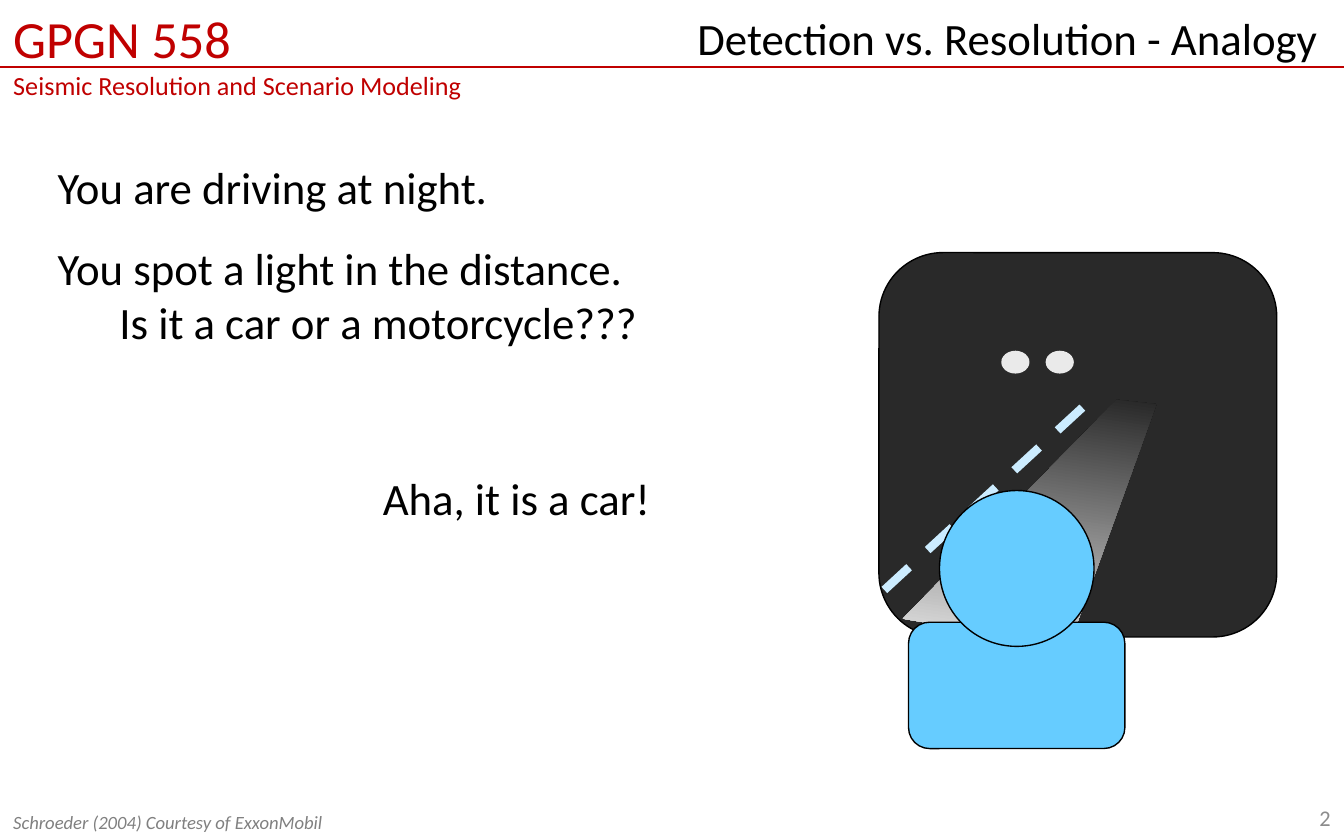
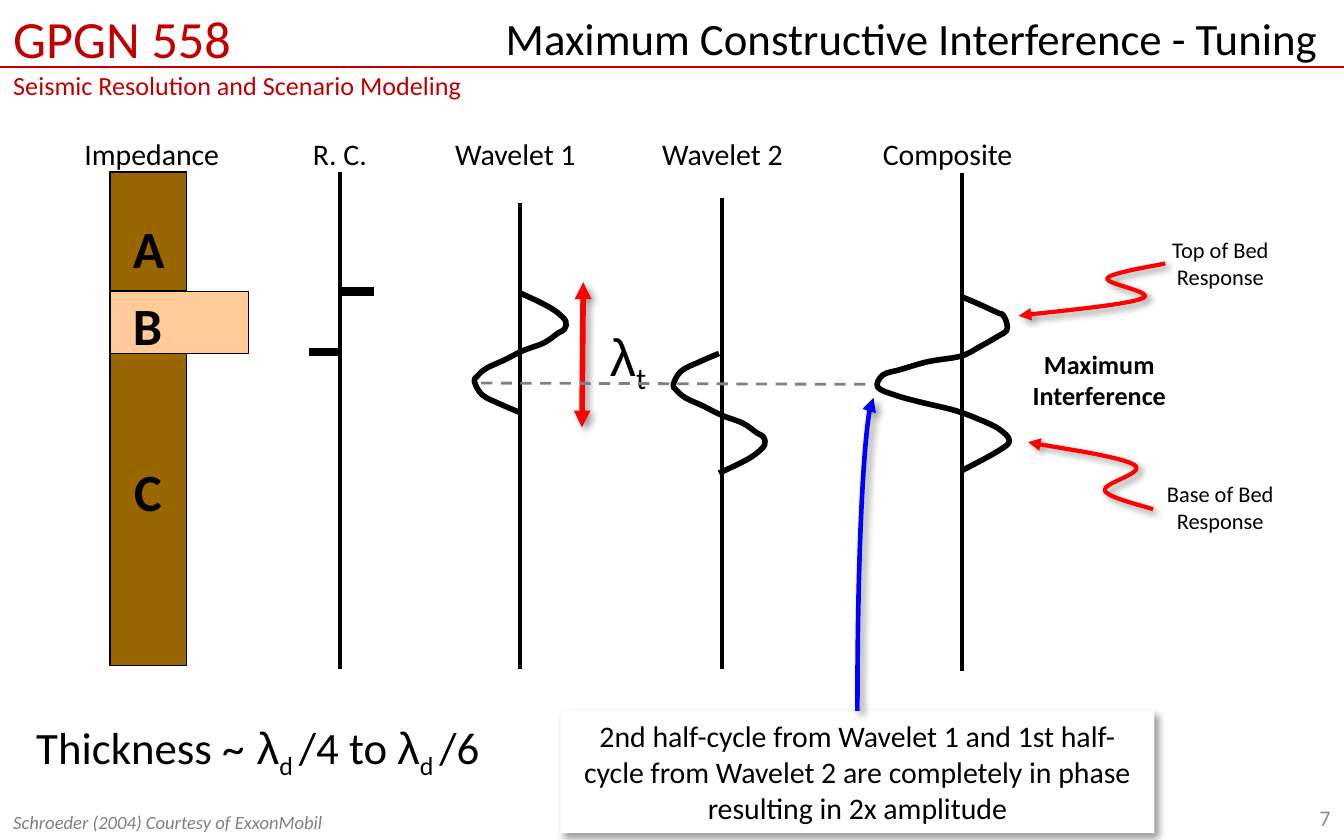
from lxml.etree import SubElement
from pptx import Presentation
from pptx.dml.color import RGBColor
from pptx.enum.dml import MSO_LINE
from pptx.enum.shapes import MSO_CONNECTOR, MSO_SHAPE
from pptx.enum.text import MSO_ANCHOR, MSO_AUTO_SIZE, PP_ALIGN
from pptx.oxml.ns import qn
from pptx.util import Emu, Pt

PX = 9144
WIDTH, HEIGHT = 1000, 625
COLORS = {
    "black": "000000", "white": "FFFFFF", "crimson": "C00000",
    "page": "8C8C8C", "gray": "808080", "night": "292929",
    "beam_far": "151515", "light": "EAEAEA", "driver": "66CCFF",
    "lane": "CCECFF", "rock": "996600", "bed": "FFCC99",
    "red": "FF0000", "blue": "0000FF",
}
LEFT, CENTER, RIGHT = PP_ALIGN.LEFT, PP_ALIGN.CENTER, PP_ALIGN.RIGHT
RECT, ROUNDED, OVAL = MSO_SHAPE.RECTANGLE, MSO_SHAPE.ROUNDED_RECTANGLE, MSO_SHAPE.OVAL
TEXT_INSETS = (10, 5, 10, 5)
HEADER_INSETS = (10, 5, 20, 5)
NO_INSETS = (0, 0, 0, 0)
TO_START, TO_END = "headEnd", "tailEnd"

COURSE = "GPGN 558"
TOPIC = "Seismic Resolution and Scenario Modeling"
CREDIT = "Schroeder (2004) Courtesy of ExxonMobil"

WINDSCREEN = (654, 188, 296, 286)
DRIVER_BODY = (676, 463, 161, 94)
DRIVER_HEAD = (699, 365, 115, 116)
LANE_MARKS = [(658, 439), (810, 299)]
BEAM, BEAM_TILT = [(684, 473), (818, 289), (848, 288), (809, 476)], 8.2
HEADLIGHT_LEFTS, HEADLIGHT_TOP, HEADLIGHT_SIZE = (745, 778), 261, (21, 17)
STORY = [
    ((33, 114, 434, 51), True, ["You are driving at night."]),
    ((33, 174, 461, 91), False,
     ["You spot a light in the distance.", "Is it a car or a motorcycle???"]),
    ((275, 345, 226, 51), False, ["Aha, it is a car!"]),
]
STORY_INDENT = 46

LAYER_LEFT = 82
LAYERS = [
    ("A", "rock", 128, 57, 88, (89, 156, 44, 57)),
    ("C", "rock", 263, 57, 232, (90, 337, 41, 57)),
    ("B", "bed", 217, 103, 46, (89, 213, 42, 57)),
]
COLUMN_NAME_TOP, COLUMN_NAME_HEIGHT = 96, 37
COLUMNS = [
    ("Impedance", 53, 122, LEFT),
    ("R. C.", 223, 61, LEFT),
    ("Wavelet 1", 317, 133, CENTER),
    ("Wavelet 2", 482, 111, CENTER),
    ("Composite", 647, 118, LEFT),
]
AXES = [(253, 128, 498), (387, 151, 498), (537, 147, 498), (716, 129, 499)]
REFLECTIONS = [(254, 278, 217), (230, 254, 262)]
WAVELET_2 = [
    (535, 263), (521, 269), (507, 276), (501, 286), (503, 290), (510, 296),
    (523, 302), (537, 309), (553, 315), (563, 322), (568, 325), (569, 331),
    (562, 338), (552, 344), (535, 352),
]
WAVELET_SHIFT, WAVELET_MIRROR = 148, 570
WAVELET_1 = [(x - WAVELET_SHIFT, WAVELET_MIRROR - y) for x, y in WAVELET_2]
COMPOSITE = [
    (716, 221), (730, 227), (743, 233), (746, 234), (749, 240), (749, 246),
    (743, 250), (729, 258), (715, 265), (691, 269), (670, 275), (657, 279),
    (653, 288), (666, 294), (684, 299), (709, 305), (726, 311), (743, 319),
    (751, 328), (742, 336), (716, 350),
]
RESPONSES = [
    ("Top of Bed", (872, 176, 72, 40), [(758, 235), (850, 222), (824, 207), (867, 196)]),
    ("Base of Bed", (868, 357, 80, 40), [(765, 329), (844, 346), (822, 365), (858, 379)]),
]
BODY, GREEK, SUBSCRIPT = ("Calibri", 0), ("Arial", 0), ("Calibri", -25)
THICKNESS = [
    ("Thickness ~", BODY), (" λ", GREEK), ("d ", SUBSCRIPT),
    ("/4 to ", BODY), ("λ", GREEK), ("d ", SUBSCRIPT), ("/6", BODY),
]
PERIOD = [("λ", GREEK), ("t", SUBSCRIPT)]
PERIOD_ARROW = [(434, 210), (433, 318)]
TROUGH_LINE = [(358, 285), (650, 286)]
NOTE_ARROW = [(650, 296), (638, 529)]
NOTE = [
    "2nd half-cycle from Wavelet 1 and 1st half-cycle from Wavelet 2 are completely in phase",
    "resulting in 2x amplitude",
]


def emu(*values):
    return [Emu(round(v * PX)) for v in values]


def rgb(name):
    return RGBColor.from_string(COLORS[name])


def paint(sp, color):
    sp.fill.solid()
    sp.fill.fore_color.rgb = rgb(color)


def add_shadow(effects):
    shadow = SubElement(effects, qn("a:outerShdw"), blurRad=str(Pt(4)), dist=str(Pt(3)),
                        dir="2700000", algn="tl", rotWithShape="0")
    color = SubElement(shadow, qn("a:srgbClr"), val=COLORS["black"])
    SubElement(color, qn("a:alpha"), val="40000")


def set_effects(sp, shadow=False):
    sp.shadow.inherit = False
    if shadow:
        add_shadow(sp._element.spPr.find(qn("a:effectLst")))


def set_line(line, color, width, dash=False, arrows=()):
    line.color.rgb = rgb(color)
    line.width = Pt(width)
    if dash:
        line.dash_style = MSO_LINE.DASH
    for end in arrows:
        SubElement(line._get_or_add_ln(), qn("a:" + end), type="triangle")


def add_run(p, text, style, size, color, bold, italic):
    font, baseline = style
    r = p.add_run()
    r.text = text
    r.font.name, r.font.size = font, Pt(size)
    r.font.bold, r.font.italic = bold, italic
    r.font.color.rgb = rgb(color)
    if baseline:
        r._r.get_or_add_rPr().set("baseline", str(baseline * 1000))


def add_text(s, box, paragraphs, sizes, color="black", align=LEFT, bold=False, italic=False,
             wrap=True, grow=True, middle=False, insets=TEXT_INSETS, indent=0):
    sp = s.shapes.add_textbox(*emu(*box))
    tf = sp.text_frame
    tf.word_wrap = wrap
    tf.auto_size = MSO_AUTO_SIZE.SHAPE_TO_FIT_TEXT if grow else MSO_AUTO_SIZE.NONE
    tf.vertical_anchor = MSO_ANCHOR.MIDDLE if middle else MSO_ANCHOR.TOP
    tf.margin_left, tf.margin_top, tf.margin_right, tf.margin_bottom = emu(*insets)
    if isinstance(sizes, int):
        sizes = [sizes] * len(paragraphs)
    for i, (content, size) in enumerate(zip(paragraphs, sizes)):
        p = tf.add_paragraph() if i else tf.paragraphs[0]
        p.alignment = align
        if i and indent:
            p._p.get_or_add_pPr().set("marL", str(indent * PX))
        runs = [(content, BODY)] if isinstance(content, str) else content
        for text, style in runs:
            add_run(p, text, style, size, color, bold, italic)
    return sp


def add_box(s, kind, box, fill, outline=True):
    sp = s.shapes.add_shape(kind, *emu(*box))
    paint(sp, fill)
    if outline:
        set_line(sp.line, "black", 0.75)
    else:
        sp.line.fill.background()
    set_effects(sp)


def add_line(s, start, end, color, width, dash=False, arrows=(), shadow=False, curved=False):
    kind = MSO_CONNECTOR.CURVE if curved else MSO_CONNECTOR.STRAIGHT
    cx = s.shapes.add_connector(kind, *emu(*start, *end))
    spPr = cx._element.spPr
    if curved:
        spPr.find(qn("a:prstGeom")).set("prst", "curvedConnector2")
    set_line(cx.line, color, width, dash, arrows)
    effects = SubElement(spPr, qn("a:effectLst"))
    if shadow:
        add_shadow(effects)


def add_outline(s, points, close):
    knots = [emu(*point) for point in points]
    builder = s.shapes.build_freeform(*knots[0], scale=1.0)
    builder.add_line_segments(knots[1:], close=close)
    return builder.convert_to_shape()


def control_points(before, start, end, after):
    leaving = [b + (c - a) / 6 for a, b, c in zip(before, start, end)]
    arriving = [c - (d - b) / 6 for b, c, d in zip(start, end, after)]
    return leaving, arriving


def add_curve(s, points, color, width, arrows=(), shadow=False):
    sp = add_outline(s, points, close=False)
    knots = [(x * PX - sp.left, y * PX - sp.top) for x, y in points]
    padded = [knots[0], *knots, knots[-1]]
    for i, segment in enumerate(list(sp._element.iter(qn("a:lnTo")))):
        neighbours = padded[i:i + 4]
        parent = segment.getparent()
        bezier = parent.makeelement(qn("a:cubicBezTo"))
        for x, y in (*control_points(*neighbours), neighbours[2]):
            SubElement(bezier, qn("a:pt"), x=str(round(x)), y=str(round(y)))
        parent.replace(segment, bezier)
    sp.fill.background()
    set_line(sp.line, color, width, arrows=arrows)
    set_effects(sp, shadow)


def add_beam(s):
    sp = add_outline(s, BEAM, close=True)
    sp.rotation = BEAM_TILT
    sp.fill.gradient()
    sp.fill.gradient_angle = 270
    for stop, color in zip(sp.fill.gradient_stops, ("beam_far", "light")):
        stop.color.rgb = rgb(color)
    sp.line.fill.background()
    set_effects(sp)


def new_slide(prs, title, title_left, number):
    s = prs.slides.add_slide(prs.slide_layouts[6])
    add_text(s, (0, 0, 392, 79), [COURSE, TOPIC], [28, 14], "crimson",
             grow=False, insets=HEADER_INSETS)
    add_line(s, (-2, 50), (1001, 50), "crimson", 1.25)
    add_text(s, (767, 592, 233, 33), [number], 12, "page", RIGHT, grow=False, middle=True)
    add_text(s, (title_left, 3, WIDTH - title_left, 50), [title], 24, align=RIGHT,
             insets=HEADER_INSETS)
    add_text(s, (0, 598, 450, 27), [CREDIT], 10, "gray", italic=True, middle=True)
    return s


def build_analogy(prs):
    s = new_slide(prs, "Detection vs. Resolution - Analogy", 408, "2")
    add_box(s, ROUNDED, WINDSCREEN, "night")
    add_beam(s)
    add_box(s, ROUNDED, DRIVER_BODY, "driver")
    add_line(s, *LANE_MARKS, "lane", 4.5, dash=True)
    add_box(s, OVAL, DRIVER_HEAD, "driver")
    for left in HEADLIGHT_LEFTS:
        add_box(s, OVAL, (left, HEADLIGHT_TOP, *HEADLIGHT_SIZE), "light", outline=False)
    for box, wrap, lines in STORY:
        add_text(s, box, lines, 24, wrap=wrap, indent=STORY_INDENT)


def add_columns(s):
    for name, fill, top, width, height, name_box in LAYERS:
        add_box(s, RECT, (LAYER_LEFT, top, width, height), fill)
        add_text(s, name_box, [name], 28, bold=True, wrap=False)
    for name, left, width, align in COLUMNS:
        add_text(s, (left, COLUMN_NAME_TOP, width, COLUMN_NAME_HEIGHT), [name], 16,
                 align=align, wrap=False)
    for x, top, bottom in AXES:
        add_line(s, (x, top), (x, bottom), "black", 2.25)
    for start, end, y in REFLECTIONS:
        add_line(s, (start, y), (end, y), "black", 4.5)
    for wave in (WAVELET_1, WAVELET_2, COMPOSITE):
        add_curve(s, wave, "black", 3)


def add_annotations(s):
    add_text(s, (27, 538, 356, 40), [THICKNESS], 24, middle=True, insets=NO_INSETS)
    note = add_text(s, (417, 529, 442, 91), NOTE, 16, align=CENTER)
    paint(note, "white")
    set_effects(note, shadow=True)
    add_line(s, *NOTE_ARROW, "blue", 2.5, arrows=[TO_START], shadow=True, curved=True)
    add_line(s, *PERIOD_ARROW, "red", 3, arrows=[TO_START, TO_END], shadow=True)
    add_text(s, (444, 236, 75, 57), [PERIOD], 28)
    add_line(s, *TROUGH_LINE, "gray", 1.5, dash=True)
    add_text(s, (758, 254, 120, 57), ["Maximum", "Interference"], 14, align=CENTER,
             bold=True, wrap=False)
    for name, box, arrow in RESPONSES:
        add_text(s, box, [name, "Response"], 12, align=CENTER, wrap=False, middle=True,
                 insets=NO_INSETS)
        add_curve(s, arrow, "red", 2.25, arrows=[TO_START], shadow=True)


def build_tuning(prs):
    s = new_slide(prs, "Maximum Constructive Interference - Tuning", 358, "7")
    add_columns(s)
    add_annotations(s)


def main():
    prs = Presentation()
    prs.slide_width, prs.slide_height = emu(WIDTH, HEIGHT)
    build_analogy(prs)
    build_tuning(prs)
    prs.save("out.pptx")


if __name__ == "__main__":
    main()
